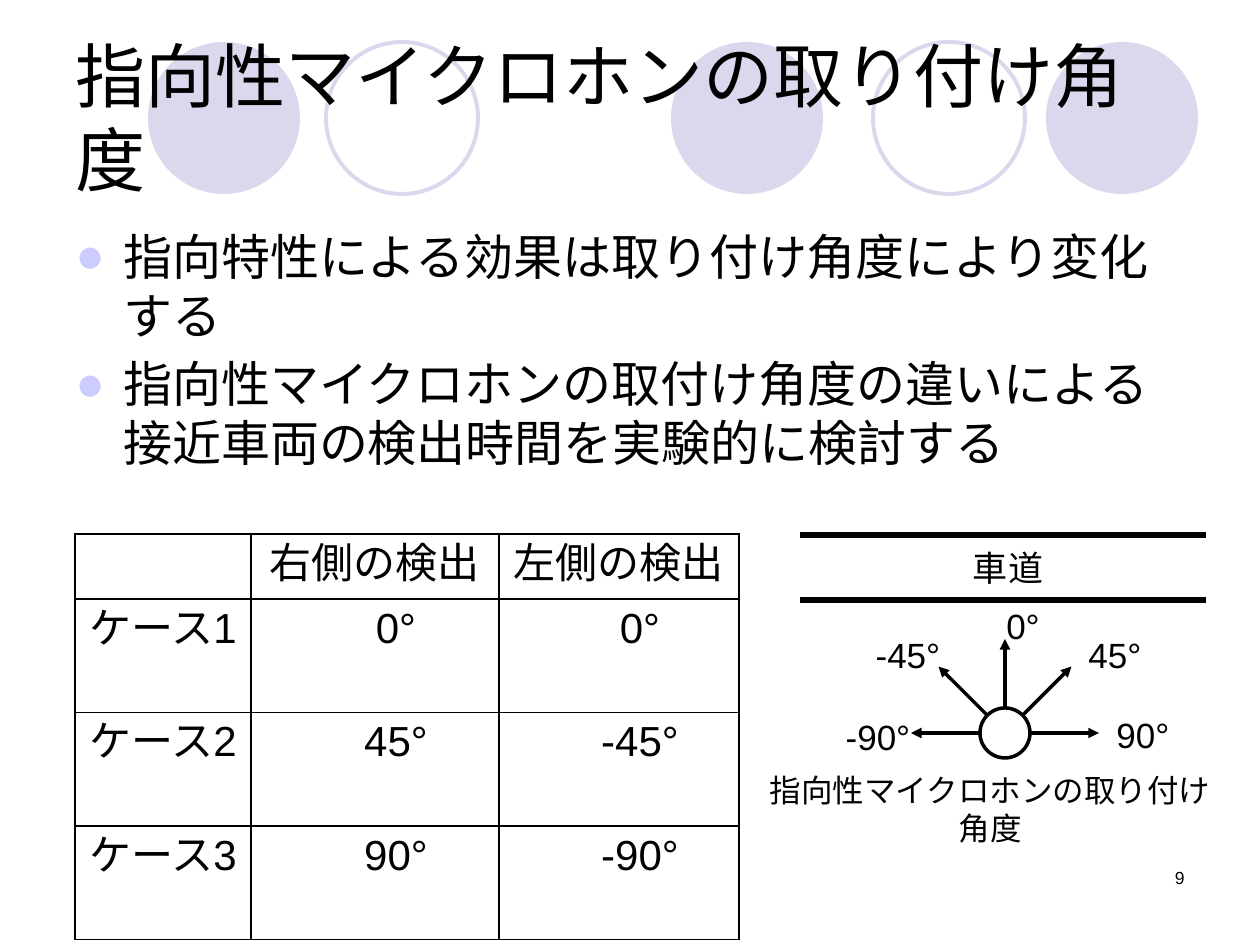
import math
import pptx
import pptx.util
import pptx.dml.color
import pptx.enum.shapes
import pptx.enum.text
import pptx.oxml
import pptx.oxml.ns

PX = 914400 / 126
BLACK = pptx.dml.color.RGBColor(0x00, 0x00, 0x00)
WHITE = pptx.dml.color.RGBColor(0xFF, 0xFF, 0xFF)
LILAC = pptx.dml.color.RGBColor(0xD9, 0xD8, 0xEC)
BULLET = pptx.dml.color.RGBColor(0xCC, 0xCC, 0xFF)
LEFT = pptx.enum.text.PP_ALIGN.LEFT
CENTER = pptx.enum.text.PP_ALIGN.CENTER
RIGHT = pptx.enum.text.PP_ALIGN.RIGHT
FONT = "Arial"


def px(*lengths):
    return [pptx.util.Emu(round(n * PX)) for n in lengths]


def add_xml(parent, tag, content="", **attrs):
    pairs = "".join(f' {k}="{v}"' for k, v in attrs.items())
    ns = pptx.oxml.ns.nsdecls("a")
    parent.append(pptx.oxml.parse_xml(f"<a:{tag} {ns}{pairs}>{content}</a:{tag}>"))


def write(p, text, size=20, align=CENTER, before=0, bullet=False):
    p.text = text
    p.alignment = align
    p.space_before = pptx.util.Pt(before)
    for r in p.runs:
        r.font.size = pptx.util.Pt(size)
        r.font.name = FONT
        r.font.color.rgb = BLACK
        add_xml(r._r.get_or_add_rPr(), "ea", typeface=FONT)
    if bullet:
        pPr = p._p.get_or_add_pPr()
        indent = px(48)[0]
        pPr.set("marL", str(indent))
        pPr.set("indent", str(-indent))
        add_xml(pPr, "buClr", f'<a:srgbClr val="{BULLET}"/>')
        add_xml(pPr, "buFont", typeface=FONT)
        add_xml(pPr, "buChar", char="●")


def text_box(s, box, text, **fmt):
    tf = s.shapes.add_textbox(*px(*box)).text_frame
    tf.word_wrap = True
    for i, line in enumerate(text.split("\n")):
        write(tf.add_paragraph() if i else tf.paragraphs[0], line, **fmt)


def circle(s, x, y, size, fill=None, line=None, width=2):
    kind = pptx.enum.shapes.MSO_SHAPE.OVAL
    sp = s.shapes.add_shape(kind, *px(x, y, size, size))
    sp.shadow.inherit = False
    if fill is None:
        sp.fill.background()
    else:
        sp.fill.solid()
        sp.fill.fore_color.rgb = fill
    if line is None:
        sp.line.fill.background()
    else:
        sp.line.color.rgb = line
        sp.line.width = pptx.util.Pt(width)


def line(s, start, end, width=2, head=False, tail=False):
    kind = pptx.enum.shapes.MSO_CONNECTOR.STRAIGHT
    cx = s.shapes.add_connector(kind, *px(*start, *end))
    cx.line.color.rgb = BLACK
    cx.line.width = pptx.util.Pt(width)
    ln = cx.line._get_or_add_ln()
    if head:
        add_xml(ln, "headEnd", type="triangle")
    if tail:
        add_xml(ln, "tailEnd", type="triangle")
    add_xml(cx._element.spPr, "effectLst")


def circle_band(s, x, y):
    for dx in (0, 523, 898):
        circle(s, x + dx, y, 152, fill=LILAC)
    for dx in (178, 725):
        circle(s, x + dx, y, 152, line=LILAC, width=2.25)


def title(s, box, text):
    sp = s.shapes.title
    sp.left, sp.top, sp.width, sp.height = px(*box)
    tf = sp.text_frame
    tf.word_wrap = True
    tf.auto_size = pptx.enum.text.MSO_AUTO_SIZE.NONE
    tf.vertical_anchor = pptx.enum.text.MSO_ANCHOR.MIDDLE
    write(tf.paragraphs[0], text, size=40, align=LEFT)
    s.shapes._spTree.append(sp._element)


def case_table(s, box, widths, heights, rows):
    tbl = s.shapes.add_table(len(rows), len(widths), *px(*box)).table
    tbl.first_row = tbl.horz_banding = False
    for col, width in zip(tbl.columns, px(*widths)):
        col.width = width
    for row, height in zip(tbl.rows, px(*heights)):
        row.height = height
    for i, row in enumerate(rows):
        for j, text in enumerate(row):
            cell = tbl.cell(i, j)
            if j == 0:
                cell.margin_left = cell.margin_right = px(14)[0]
            tcPr = cell._tc.get_or_add_tcPr()
            for side in ("lnL", "lnR", "lnT", "lnB"):
                add_xml(tcPr, side, f'<a:solidFill><a:srgbClr val="{BLACK}"/></a:solidFill>',
                        w=12700)
            cell.fill.background()
            write(cell.text_frame.paragraphs[0], text, size=24)


def angle_diagram(s, x, y):
    for dy in (0, 65):
        line(s, (x, y + dy), (x + 406, y + dy), width=3)
    cx, cy, reach = x + 205, y + 198, 94

    def tip(angle):
        a = math.radians(angle)
        return cx + reach * math.sin(a), cy - reach * math.cos(a)

    for angle in (0, 45, -45):
        line(s, (cx, cy), tip(angle), tail=True)
    line(s, tip(-90), tip(90), head=True, tail=True)
    circle(s, cx - 25, cy - 25, 50, fill=WHITE, line=BLACK)
    labels = [("90°", 291, 172, 104), ("-45°", 46, 92, 124), ("0°", 169, 63, 108),
              ("-90°", 13, 174, 130), ("45°", 261, 92, 108), ("車道", 143, 5, 130)]
    for text, dx, dy, width in labels:
        text_box(s, (x + dx, y + dy, width, 55), text)
    text_box(s, (x - 58, y + 230, 496, 50), "指向性マイクロホンの取り付け角度", size=18)


def main():
    prs = pptx.Presentation()
    prs.slide_width, prs.slide_height = px(1260, 945)
    s = prs.slides.add_slide(prs.slide_layouts[5])
    circle_band(s, 148, 42)
    title(s, (63, 38, 1134, 158), "指向性マイクロホンの取り付け角度")
    text_box(s, (63, 220, 1134, 624),
             "指向特性による効果は取り付け角度により変化する\n"
             "指向性マイクロホンの取付け角度の違いによる\v接近車両の検出時間を実験的に検討する",
             size=28, align=LEFT, before=5.6, bullet=True)
    text_box(s, (903, 861, 294, 63), "9", size=10, align=RIGHT)
    angle_diagram(s, 800, 535)
    case_table(s, (75, 534, 664, 404), (176, 248, 240), (65, 113, 113, 113),
               [("", "右側の検出", "左側の検出"),
                ("ケース1", "　0°", "　0°"),
                ("ケース2", "　45°", "　-45°"),
                ("ケース3", "　90°", "　-90°")])
    prs.save("out.pptx")


if __name__ == "__main__":
    main()
